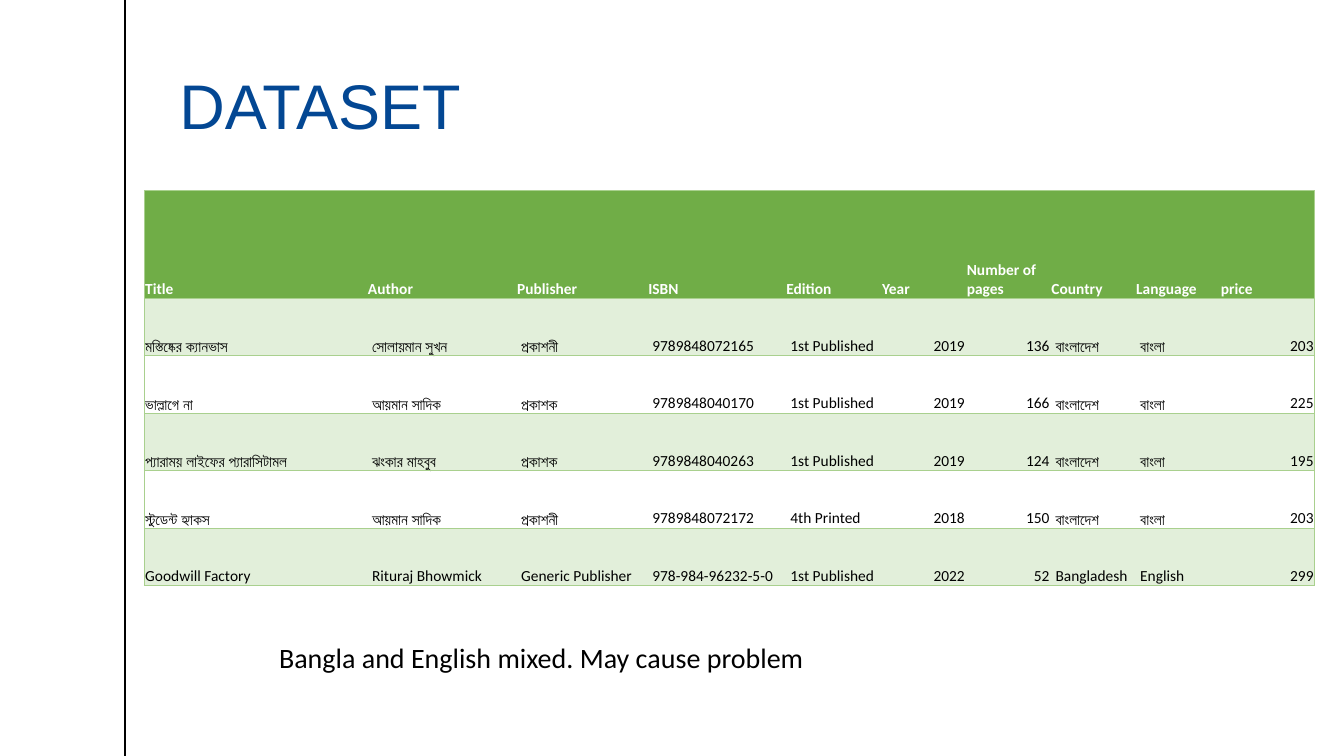
from lxml.etree import SubElement
from pptx import Presentation
from pptx.dml.color import RGBColor
from pptx.enum.text import MSO_ANCHOR, PP_ALIGN
from pptx.oxml.ns import qn
from pptx.util import Inches, Pt

WIDTH, HEIGHT = 13.33, 7.5
BLUE, BLACK, WHITE = "034793", "000000", "FFFFFF"
GREEN, PALE_GREEN, RULE_GREEN = "70AD47", "E2EFDA", "A9D08E"
NO_STYLE = "{2D5ABB26-0587-4C30-8999-92F81FD0307C}"

TABLE_LEFT, TABLE_TOP = 1.43, 1.89
COLUMNS = [2.21, 1.48, 1.3, 1.37, 0.95, 0.84, 0.84, 0.84, 0.84, 0.94]
ROWS = [1.07] + [0.57] * 5
NUMBER_COLUMNS = {5, 6, 9}

BOOKS = [
    ["Title", "Author", "Publisher", "ISBN", "Edition", "Year",
     "Number of pages", "Country", "Language", "price"],
    ["মস্তিষ্কের ক্যানভাস", "সোলায়মান সুখন", "প্রকাশনী", "9789848072165",
     "1st Published", "2019", "136", "বাংলাদেশ", "বাংলা", "203"],
    ["ভাল্লাগে না", "আয়মান সাদিক", "প্রকাশক", "9789848040170",
     "1st Published", "2019", "166", "বাংলাদেশ", "বাংলা", "225"],
    ["প্যারাময় লাইফের প্যারাসিটামল", "ঝংকার মাহবুব", "প্রকাশক", "9789848040263",
     "1st Published", "2019", "124", "বাংলাদেশ", "বাংলা", "195"],
    ["স্টুডেন্ট হ্যাকস", "আয়মান সাদিক", "প্রকাশনী", "9789848072172",
     "4th Printed", "2018", "150", "বাংলাদেশ", "বাংলা", "203"],
    ["Goodwill Factory", "Rituraj Bhowmick", "Generic Publisher",
     "978-984-96232-5-0", "1st Published", "2022", "52", "Bangladesh",
     "English", "299"],
]


def color(hex_value):
    return RGBColor.from_string(hex_value)


def add_run(p, text, size, font, hex_value, bold=False):
    r = p.add_run()
    r.text = text
    r.font.size, r.font.name, r.font.bold = Pt(size), font, bold
    r.font.color.rgb = color(hex_value)


def set_margins(target, left, top, right, bottom):
    target.margin_left, target.margin_top = Inches(left), Inches(top)
    target.margin_right, target.margin_bottom = Inches(right), Inches(bottom)


def add_title(s, text):
    title = s.shapes.title
    title.left, title.top = Inches(1.78), Inches(0.37)
    title.width, title.height = Inches(11.08), Inches(1.1)
    tf = title.text_frame
    tf.word_wrap = True
    tf.vertical_anchor = MSO_ANCHOR.BOTTOM
    set_margins(tf, 0, 0.05, 0, 0.05)
    p = tf.paragraphs[0]
    p.alignment, p.line_spacing = PP_ALIGN.LEFT, 0.9
    add_run(p, text, 45, "Arial", BLUE)


def add_side_rule(s, x):
    line = s.shapes.add_connector(1, Inches(x), 0, Inches(x), Inches(HEIGHT))
    line.line.color.rgb = color(BLACK)
    line.line.width = Pt(1)
    SubElement(line.element.spPr, qn("a:effectLst"))


def add_borders(cell, sides):
    """Draw cell borders; they must precede the fill in the cell properties."""
    tc_pr = cell._tc.get_or_add_tcPr()
    for i, side in enumerate(sides):
        ln = SubElement(tc_pr, qn(f"a:ln{side}"), w=str(Pt(0.5)))
        fill = SubElement(ln, qn("a:solidFill"))
        SubElement(fill, qn("a:srgbClr"), val=RULE_GREEN)
        tc_pr.insert(i, ln)


def format_cell(cell, text, row, col):
    header = row == 0
    if row % 2 or header:
        cell.fill.solid()
        cell.fill.fore_color.rgb = color(GREEN if header else PALE_GREEN)
    else:
        cell.fill.background()
    indented = not header and col > 0 and col not in NUMBER_COLUMNS
    set_margins(cell, 0.05 if indented else 0.01, 0.01, 0.01, 0)
    cell.vertical_anchor = MSO_ANCHOR.BOTTOM
    p = cell.text_frame.paragraphs[0]
    if not header and col in NUMBER_COLUMNS:
        p.alignment = PP_ALIGN.RIGHT
    add_run(p, text, 11, "Calibri", WHITE if header else BLACK, header)
    left = "L" if col == 0 else ""
    right = "R" if col == len(COLUMNS) - 1 else ""
    add_borders(cell, left + right + "TB")


def add_book_table(s):
    frame = s.shapes.add_table(
        len(ROWS), len(COLUMNS), Inches(TABLE_LEFT), Inches(TABLE_TOP),
        Inches(sum(COLUMNS)), Inches(sum(ROWS)))
    table = frame.table
    table.first_row = table.horz_banding = False
    next(frame.element.iter(qn("a:tableStyleId"))).text = NO_STYLE
    for column, width in zip(table.columns, COLUMNS):
        column.width = Inches(width)
    for row, height in zip(table.rows, ROWS):
        row.height = Inches(height)
    for i, book in enumerate(BOOKS):
        for j, text in enumerate(book):
            format_cell(table.cell(i, j), text, i, j)


def add_note(s, text):
    box = s.shapes.add_textbox(
        Inches(2.67), Inches(6.34), Inches(9.34), Inches(1.16))
    tf = box.text_frame
    tf.word_wrap = True
    p = tf.paragraphs[0]
    p.line_spacing = 0.9
    add_run(p, text, 20, "Calibri", BLACK)


def main():
    prs = Presentation()
    prs.slide_width, prs.slide_height = Inches(WIDTH), Inches(HEIGHT)
    s = prs.slides.add_slide(prs.slide_layouts[5])

    # Frame and heading
    add_side_rule(s, 1.24)
    add_title(s, "DATASET")

    # Book records and remark
    add_book_table(s)
    add_note(s, "Bangla and English mixed. May cause problem")

    prs.save("out.pptx")


if __name__ == "__main__":
    main()
